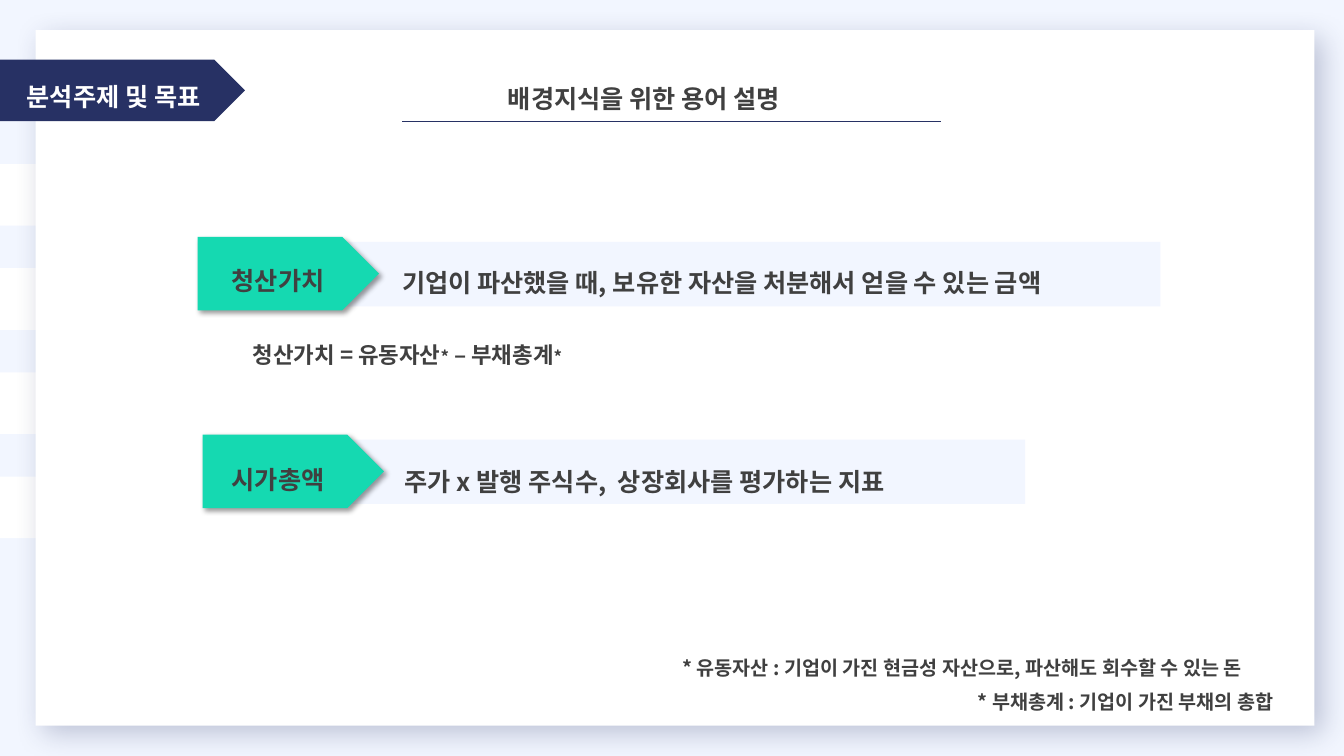
from lxml.etree import SubElement
from pptx import Presentation
from pptx.dml.color import RGBColor
from pptx.enum.shapes import MSO_CONNECTOR, MSO_SHAPE
from pptx.enum.text import MSO_AUTO_SIZE, PP_ALIGN
from pptx.oxml.ns import qn
from pptx.util import Pt

NAVY = RGBColor(0x27, 0x31, 0x64)
MINT = RGBColor(0x15, 0xD9, 0xB1)
PALE = RGBColor(0xF2, 0xF6, 0xFF)
WHITE = RGBColor(0xFF, 0xFF, 0xFF)
BLACK = RGBColor(0, 0, 0)
GRAY = RGBColor(0x40, 0x40, 0x40)

RECT, ARROW = MSO_SHAPE.RECTANGLE, MSO_SHAPE.PENTAGON
INDENT = Pt(36)


class Deck:
    font = "Noto Sans CJK KR"

    def __init__(self):
        self.prs = Presentation()
        self.prs.slide_width, self.prs.slide_height = Pt(960), Pt(540)
        self.s = self.prs.slides.add_slide(self.prs.slide_layouts[6])
        fill = self.s.background.fill
        fill.solid()
        fill.fore_color.rgb = PALE

    def block(self, kind, x, y, w, h, color):
        sp = self.s.shapes.add_shape(kind, Pt(x), Pt(y), Pt(w), Pt(h))
        sp.fill.solid()
        sp.fill.fore_color.rgb = color
        sp.line.fill.background()
        sp.shadow.inherit = False
        return sp

    def shadow(self, sp, color, alpha, blur, dist):
        """Cast an outer shadow to the lower right; alpha is in percent."""
        effects = sp._element.spPr.find(qn("a:effectLst"))
        outer = SubElement(effects, qn("a:outerShdw"), blurRad=str(Pt(blur)), dist=str(Pt(dist)),
                           dir="2700000", algn="tl", rotWithShape="0")
        clr = SubElement(outer, qn("a:srgbClr"), val=str(color))
        SubElement(clr, qn("a:alpha"), val=str(alpha * 1000))

    def text(self, x, y, w, h, *runs, color=GRAY, align=None, spacing=1.5, indent=True):
        """Add one paragraph; each run is a (text, size) pair."""
        tf = self.s.shapes.add_textbox(Pt(x), Pt(y), Pt(w), Pt(h)).text_frame
        tf.word_wrap = True
        tf.auto_size = MSO_AUTO_SIZE.SHAPE_TO_FIT_TEXT
        p = tf.paragraphs[0]
        p.alignment = align
        p.line_spacing = spacing
        if indent:
            p.level = 1
            pPr = p._p.get_or_add_pPr()
            pPr.set("marL", str(INDENT))
            pPr.set("indent", "0")
        for words, size in runs:
            r = p.add_run()
            r.text = words
            r.font.size, r.font.bold, r.font.name = Pt(size), True, self.font
            r.font.color.rgb = color
            SubElement(r._r.get_or_add_rPr(), qn("a:ea"), typeface=self.font)

    def rule(self, x1, x2, y):
        line = self.s.shapes.add_connector(MSO_CONNECTOR.STRAIGHT, Pt(x1), Pt(y), Pt(x2), Pt(y))
        line.line.color.rgb = NAVY
        line.line.width = Pt(0.5)
        SubElement(line._element.spPr, qn("a:effectLst"))

    def term(self, x, y, name, meaning, bar, name_y, meaning_box):
        """Add a mint arrow with a term and a pale bar with its meaning."""
        bar_x, bar_w = bar
        self.block(RECT, bar_x, y + 3.6, bar_w, 46, PALE)
        self.text(*meaning_box, 36, (meaning, 18))
        arrow = self.block(ARROW, x, y, 129.6, 52.6, MINT)
        self.shadow(arrow, BLACK, 40, 4, 3)
        self.text(122.4, name_y, 150, 36, (name, 18))


def main():
    deck = Deck()
    for i in range(4):
        deck.block(ARROW, 0, 117.2 + 74.4 * i, 231, 44, WHITE)
    panel = deck.block(RECT, 25.4, 21.6, 913.4, 496.8, WHITE)
    deck.shadow(panel, NAVY, 26, 20, 8)

    deck.block(ARROW, 0, 42.6, 175, 44, NAVY)
    deck.text(2, 44, 158.4, 36, ("분석주제 및 목표", 18),
              color=WHITE, align=PP_ALIGN.CENTER, indent=False)

    deck.term(141.2, 169.2, "청산가치", "기업이 파산했을 때, 보유한 자산을 처분해서 얻을 수 있는 금액",
              (182.2, 646.6), 175, (244.1, 176.4, 593.3))
    deck.term(144.7, 310.4, "시가총액", " 주가 x 발행 주식수,  상장회사를 평가하는 지표",
              (185.8, 546.5), 317.5, (241.9, 319, 476.6))

    for x, y, w, note in (
        (480.2, 465.1, 467.3, "* 유동자산 : 기업이 가진 현금성 자산으로, 파산해도 회수할 수 있는 돈"),
        (691.2, 489.6, 262.8, "* 부채총계 : 기업이 가진 부채의 총합"),
    ):
        deck.text(x, y, w, 24.5, (note, 14), spacing=1.0, indent=False)

    deck.rule(287.3, 672.5, 86.4)
    deck.text(319.7, 45.4, 289.4, 36, ("배경지식을 위한 용어 설명", 18))
    deck.text(137.5, 230.4, 299.5, 32.4,
              ("청산가치 = 유동자산", 16), ("*", 12), (" – 부채총계", 16), ("*", 12))
    deck.prs.save("out.pptx")


if __name__ == "__main__":
    main()
